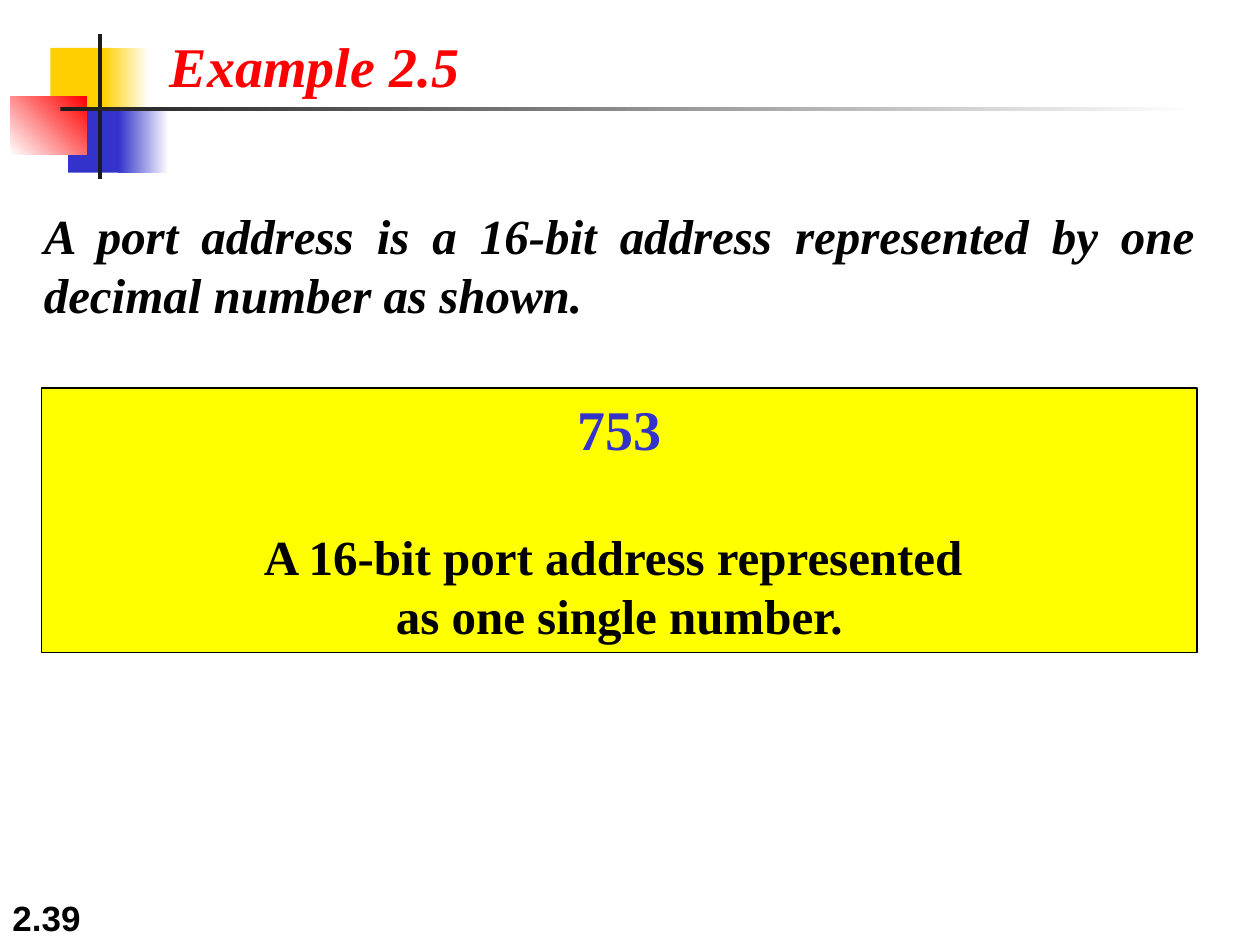
from pptx import Presentation, util as u
from pptx.dml.color import RGBColor
from pptx.enum import shapes, text

COLUMNS, ROWS = 100, 75  # grid over the whole slide
BLACK, WHITE, DARK = "000000", "FFFFFF", "1C1C1C"
GOLD, BLUE, RED, YELLOW = "FFCF01", "3333CC", "FF0000", "FFFF00"


def color(hex_string):
    return RGBColor.from_string(hex_string)


class SlideBuilder:
    serif, sans = "Times New Roman", "Arial"

    def __init__(self, presentation):
        self.column = presentation.slide_width / COLUMNS
        self.row = presentation.slide_height / ROWS
        self.slide = presentation.slides.add_slide(presentation.slide_layouts[6])

    def place(self, left, top, width, height):
        return (round(left * self.column), round(top * self.row),
                round(width * self.column), round(height * self.row))

    def block(self, area, fill, line=None):
        shape = self.slide.shapes.add_shape(
            shapes.MSO_SHAPE.RECTANGLE, *self.place(*area))
        shape.shadow.inherit = False
        shape.fill.solid()
        shape.fill.fore_color.rgb = color(fill)
        if line:
            shape.line.color.rgb = color(line)
            shape.line.width = u.Pt(0.75)
        else:
            shape.line.fill.background()
        return shape

    def fade(self, area, start, end, angle=0):
        fill = self.block(area, start).fill
        fill.gradient()
        fill.gradient_angle = angle
        for stop, shade in zip(fill.gradient_stops, (start, end)):
            stop.color.rgb = color(shade)

    def frame(self, shape, wrap=True, grow=True, anchor=text.MSO_ANCHOR.TOP):
        frame = shape.text_frame
        frame.word_wrap = wrap
        frame.auto_size = (text.MSO_AUTO_SIZE.SHAPE_TO_FIT_TEXT if grow
                           else text.MSO_AUTO_SIZE.NONE)
        frame.vertical_anchor = anchor
        return frame

    def label(self, area, **options):
        box = self.slide.shapes.add_textbox(*self.place(*area))
        return self.frame(box, **options).paragraphs[0]

    def fill_text(self, paragraph, words, size, shade=BLACK, font=serif,
                  italic=False, align=text.PP_ALIGN.LEFT):
        paragraph.text = words
        paragraph.alignment = align
        paragraph.font.name = font
        paragraph.font.size = u.Pt(size)
        paragraph.font.bold = True
        paragraph.font.italic = italic
        paragraph.font.color.rgb = color(shade)


def main():
    presentation = Presentation()
    presentation.slide_width, presentation.slide_height = u.Inches(10), u.Inches(7.5)
    builder = SlideBuilder(presentation)

    # Page number
    number = builder.label((0, 70, 20.8, 5), grow=False,
                           anchor=text.MSO_ANCHOR.BOTTOM)
    builder.fill_text(number, "2.39", 20, font=builder.sans)

    # Corner ornament: coloured squares, then the crossing bars
    builder.block((4, 3.8, 4.8, 5.2), GOLD)
    builder.fade((8.2, 3.8, 3.6, 5.2), GOLD, WHITE)
    builder.block((5.4, 8.5, 4.6, 5.2), BLUE)
    builder.fade((9.4, 8.5, 4, 5.2), BLUE, WHITE)
    builder.fade((0.8, 7.7, 6.1, 4.6), WHITE, RED, angle=45)
    builder.block((7.8, 2.7, 0.3, 11.5), DARK)
    builder.fade((4.8, 8.5, 90, 0.3), DARK, WHITE)

    # Title and statement
    title = builder.label((12.5, 2, 25, 6.4), wrap=False)
    builder.fill_text(title, "Example 2.5", 32, RED, italic=True)
    statement = builder.label((2.5, 15.8, 93.3, 10.4))
    builder.fill_text(statement, "A port address is a 16-bit address represented "
                      "by one decimal number as shown.", 28, italic=True,
                      align=text.PP_ALIGN.JUSTIFY)

    # Highlighted port address with its caption
    panel = builder.frame(builder.block((3.3, 30.8, 91.7, 21), YELLOW, BLACK))
    center = text.PP_ALIGN.CENTER
    builder.fill_text(panel.paragraphs[0], "753", 32, BLUE, align=center)
    caption = panel.add_paragraph()
    builder.fill_text(caption, "A 16-bit port address represented \vas one single number.",
                      28, align=center)
    caption.space_before = u.Pt(37)

    presentation.save("out.pptx")


if __name__ == "__main__":
    main()
